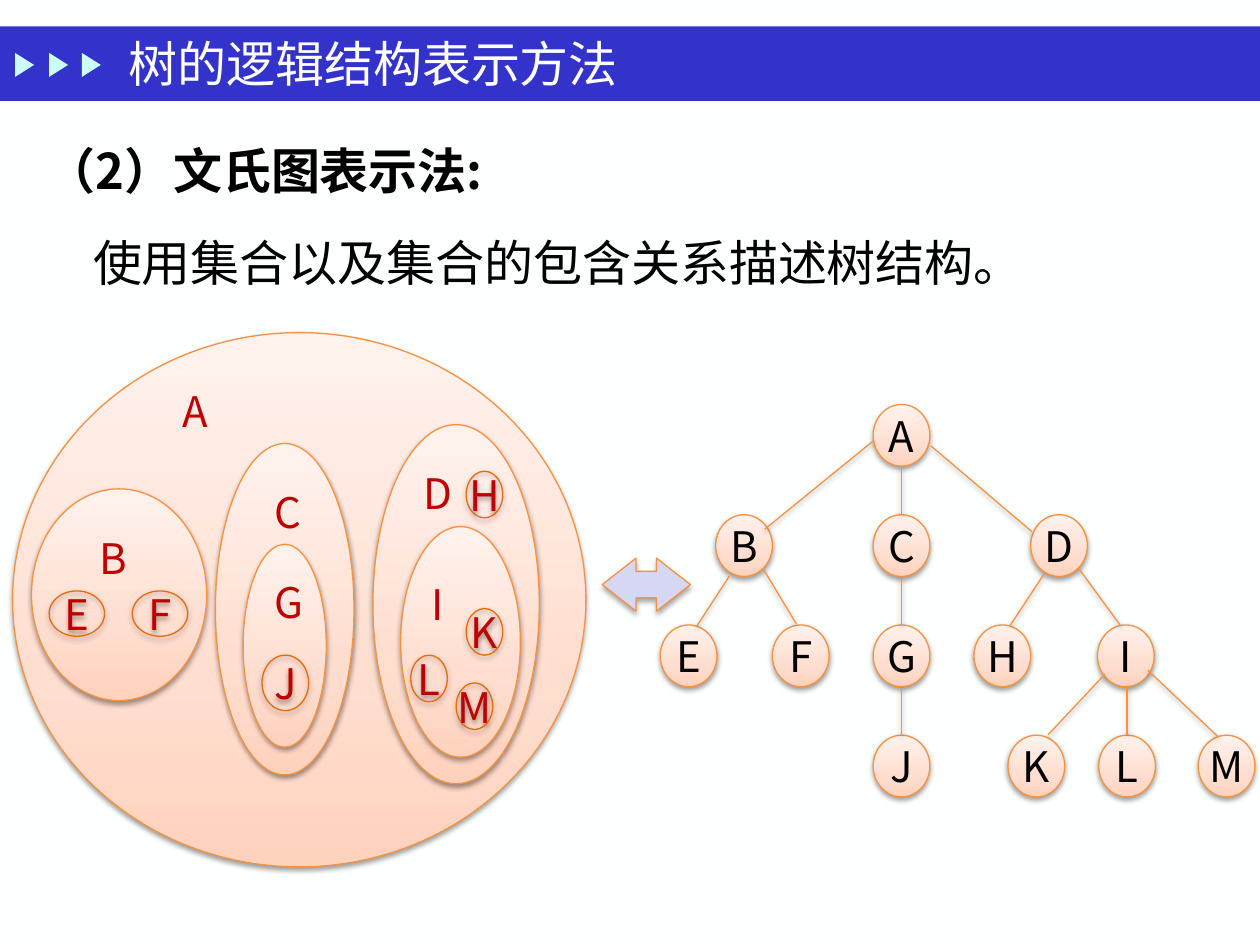
"""Build a slide that shows one tree as a Venn diagram and as a node diagram."""
import pptx
import pptx.dml.color
import pptx.enum.shapes
import pptx.enum.text
import pptx.oxml
import pptx.oxml.ns
import pptx.util

THEME = {
    "page": "FEFFFF", "band": "3333CC", "marker": "CBFFFF", "ink": "000000",
    "set_ink": "C00000", "outline": "F69240", "leaf_outline": "E46C0A", "arrow": "D6D6F5",
    "gradient": ((0, "FFD2BD"), (35, "FFDED0"), (100, "FFF2ED")),
    "font": "Noto Sans CJK SC", "title_font": "Times New Roman",
    "large": 28, "label": 24, "line": 0.75,
}
TITLE = "树的逻辑结构表示方法"
HEADING = "（2）文氏图表示法:"
EXPLANATION = "使用集合以及集合的包含关系描述树结构。"

MARKER_LEFTS = (0.1, 0.37, 0.63)
SETS = (
    (0.1, 2.64, 4.55, 4.24), (0.25, 3.88, 1.39, 1.68), (1.71, 3.52, 1.1, 2.63),
    (1.93, 4.32, 0.66, 1.61), (2.96, 3.37, 1.32, 2.85), (3.18, 4.18, 0.95, 1.83),
)
SET_NAMES = {
    "A": (1.35, 3.01, 0.37), "B": (0.69, 4.18, 0.37), "C": (2.08, 3.81, 0.29),
    "G": (2.08, 4.53, 0.29), "D": (3.26, 3.66, 0.38), "I": (3.33, 4.54, 0.37),
}
LEAF_SETS = {
    "E": (0.39, 4.69, 0.44, 0.36), "F": (1.05, 4.69, 0.44, 0.36),
    "J": (2.08, 5.2, 0.37, 0.44), "H": (3.7, 3.74, 0.29, 0.37),
    "K": (3.7, 4.83, 0.29, 0.37), "L": (3.26, 5.2, 0.29, 0.37),
    "M": (3.62, 5.42, 0.29, 0.37),
}
TREE_LEVELS = (
    {"A": 6.93},
    {"B": 5.68, "C": 6.93, "D": 8.18},
    {"E": 5.24, "F": 6.13, "G": 6.93, "H": 7.73, "I": 8.71},
    {"J": 6.93, "K": 8, "L": 8.72, "M": 9.51},
)
TREE_TOP, LEVEL_STEP, NODE_WIDTH, NODE_HEIGHT = 3.21, 0.875, 0.45, 0.49
UPRIGHT_BRANCHES = ("AC", "CG", "GJ", "IL")
SLANTED_BRANCHES = (
    (6.93, 3.5, 6.07, 4.2), (7.39, 3.54, 8.19, 4.22),
    (5.79, 4.57, 5.53, 4.97), (6.06, 4.52, 6.32, 4.95),
    (8.29, 4.55, 8.02, 4.96), (8.56, 4.51, 8.89, 4.96),
    (8.77, 5.35, 8.32, 5.83), (9.11, 5.32, 9.67, 5.85),
)
SHAPES = pptx.enum.shapes.MSO_SHAPE
ALIGN = pptx.enum.text.PP_ALIGN
ANCHOR = pptx.enum.text.MSO_ANCHOR
AUTO_SIZE = pptx.enum.text.MSO_AUTO_SIZE


def inches(*lengths):
    return [pptx.util.Inches(length) for length in lengths]


def color(name):
    return pptx.dml.color.RGBColor.from_string(THEME[name])


def xml(markup):
    namespace = pptx.oxml.ns.nsdecls("a")
    return pptx.oxml.parse_xml(markup.replace(">", f" {namespace}>", 1))


def write(shape, text, size, ink, font="font", bold=False, align=ALIGN.LEFT, spacing=None):
    para = shape.text_frame.paragraphs[0]
    para.alignment = align
    para.line_spacing = spacing
    span = para.add_run()
    span.text = text
    span.font.name = THEME[font]
    span.font.size = pptx.util.Pt(THEME[size])
    span.font.bold = bold
    span.font.color.rgb = color(ink)
    east_asian = xml('<a:ea></a:ea>')
    east_asian.set("typeface", THEME["font"])
    span.font._element.find(pptx.oxml.ns.qn("a:latin")).addnext(east_asian)


def add_text(parent, place, text, size, ink, wrap=True, **style):
    box = parent.shapes.add_textbox(*inches(*place))
    box.text_frame.word_wrap = wrap
    box.text_frame.auto_size = AUTO_SIZE.SHAPE_TO_FIT_TEXT
    write(box, text, size, ink, **style)


def add_plain(parent, kind, place, fill):
    shape = parent.shapes.add_shape(kind, *inches(*place))
    shape.shadow.inherit = False
    shape.fill.solid()
    shape.fill.fore_color.rgb = color(fill)
    shape.line.fill.background()
    return shape


def outline(shape, name="outline", opacity=38, distance=1.6):
    shape.line.color.rgb = color(name)
    shape.line.width = pptx.util.Pt(THEME["line"])
    properties = shape._element.spPr
    for effects in properties.findall(pptx.oxml.ns.qn("a:effectLst")):
        properties.remove(effects)
    properties.append(xml(
        f'<a:effectLst><a:outerShdw blurRad="{pptx.util.Pt(3.1)}" '
        f'dist="{pptx.util.Pt(distance)}" dir="5400000" rotWithShape="0">'
        f'<a:srgbClr val="000000"><a:alpha val="{opacity * 1000}"/></a:srgbClr>'
        '</a:outerShdw></a:effectLst>'))


def add_ellipse(parent, place, text="", ink="ink", line="outline", filled=True):
    shape = parent.shapes.add_shape(SHAPES.OVAL, *inches(*place))
    shape.fill.background()
    if filled:
        stops = "".join(f'<a:gs pos="{share * 1000}"><a:srgbClr val="{tint}"/></a:gs>'
                        for share, tint in THEME["gradient"])
        empty = shape._element.spPr.find(pptx.oxml.ns.qn("a:noFill"))
        shape._element.spPr.replace(empty, xml(
            f'<a:gradFill><a:gsLst>{stops}</a:gsLst>'
            '<a:lin ang="16200000" scaled="1"/></a:gradFill>'))
    outline(shape, line)
    if text:
        shape.text_frame.word_wrap = False
        shape.text_frame.vertical_anchor = ANCHOR.MIDDLE
        write(shape, text, "label", ink, align=ALIGN.CENTER)


def add_header(page):
    band = add_plain(page, SHAPES.RECTANGLE, (0, 0.21, 10, 0.59), "band")
    page.shapes._spTree.insert(2, band._element)
    markers = page.shapes.add_group_shape()
    for left in MARKER_LEFTS:
        place = (left, 0.44, 0.19, 0.15)
        add_plain(markers, SHAPES.ISOSCELES_TRIANGLE, place, "marker").rotation = 90
    title = page.shapes.title
    title.left, title.top, title.width, title.height = inches(0.92, 0.21, 7, 0.58)
    title.text_frame.auto_size = AUTO_SIZE.NONE
    title.text_frame.vertical_anchor = ANCHOR.MIDDLE
    write(title, TITLE, "large", "page", font="title_font")


def add_venn(page):
    venn = page.shapes.add_group_shape()
    for place in SETS:
        add_ellipse(venn, place)
    for name, place in LEAF_SETS.items():
        add_ellipse(venn, place, name, "set_ink", "leaf_outline", filled=False)
    for name, place in SET_NAMES.items():
        add_text(venn, (*place, 0.5), name, "label", "set_ink")


def add_tree(page):
    tree = page.shapes.add_group_shape()
    nodes = {name: (left, TREE_TOP + level * LEVEL_STEP)
             for level, row in enumerate(TREE_LEVELS) for name, left in row.items()}
    for name, (left, top) in nodes.items():
        add_ellipse(tree, (left, top, NODE_WIDTH, NODE_HEIGHT), name)
    branches = list(SLANTED_BRANCHES)
    for parent, child in UPRIGHT_BRANCHES:
        center = nodes[child][0] + NODE_WIDTH / 2
        branches.append((center, nodes[parent][1] + NODE_HEIGHT, center, nodes[child][1]))
    for ends in branches:
        outline(tree.shapes.add_connector(
            pptx.enum.shapes.MSO_CONNECTOR.STRAIGHT, *inches(*ends)))


def main():
    deck = pptx.Presentation()
    deck.slide_width, deck.slide_height = inches(10, 7.5)
    page = deck.slides.add_slide(deck.slide_layouts[5])
    page.background.fill.solid()
    page.background.fill.fore_color.rgb = color("page")
    add_header(page)
    body = {"align": ALIGN.JUSTIFY, "spacing": 1.1}
    add_text(page, (0.27, 1.02, 9.45, 0.58), HEADING, "large", "ink", bold=True, **body)
    add_venn(page)
    arrow = add_plain(page, SHAPES.LEFT_RIGHT_ARROW, (4.78, 4.43, 0.7, 0.42), "arrow")
    arrow.adjustments[0], arrow.adjustments[1] = 0.5, 0.64
    outline(arrow, opacity=35, distance=1.8)
    add_tree(page)
    add_text(page, (0.64, 1.75, 7.66, 0.58), EXPLANATION, "large", "ink", wrap=False, **body)
    deck.save("out.pptx")


if __name__ == "__main__":
    main()
